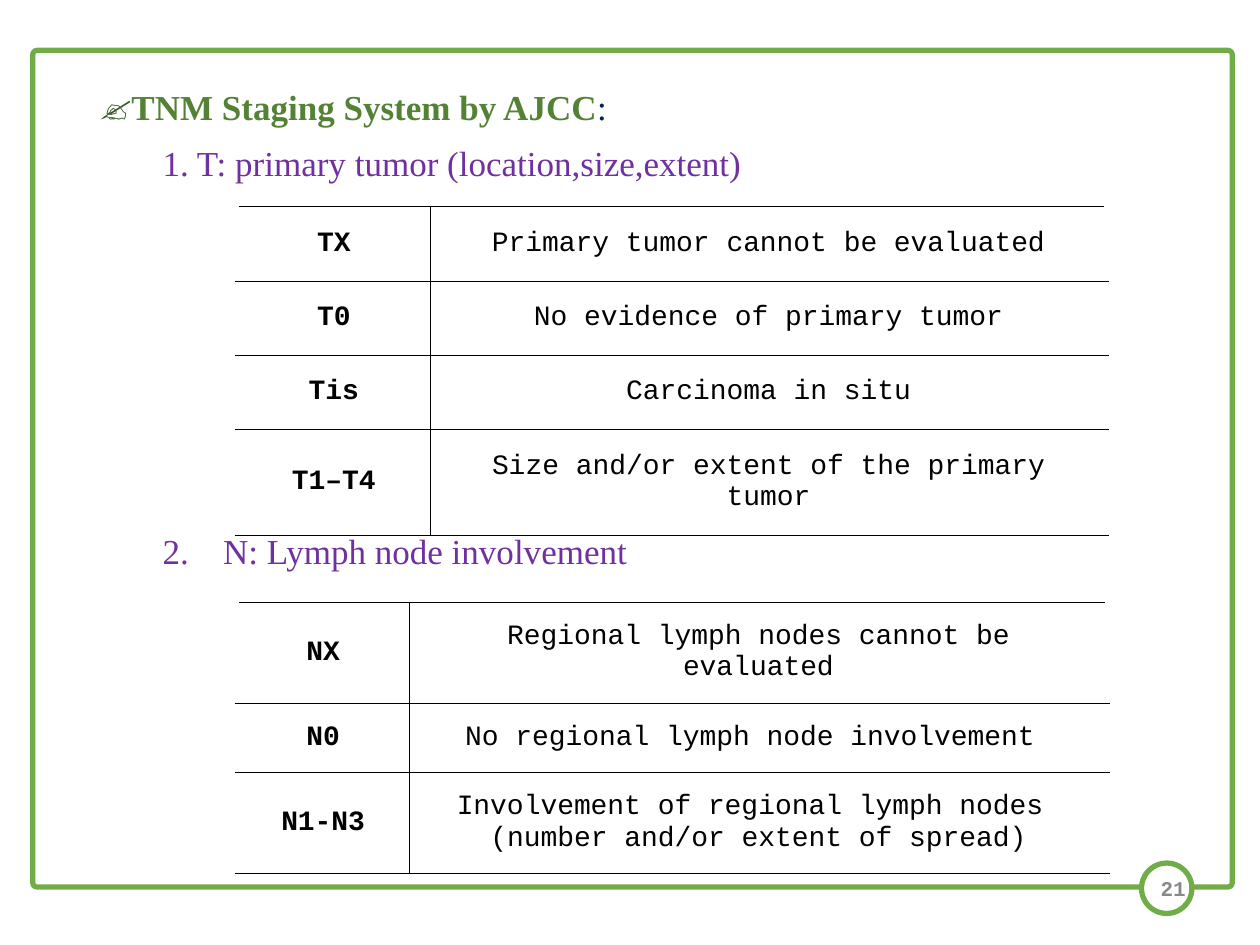
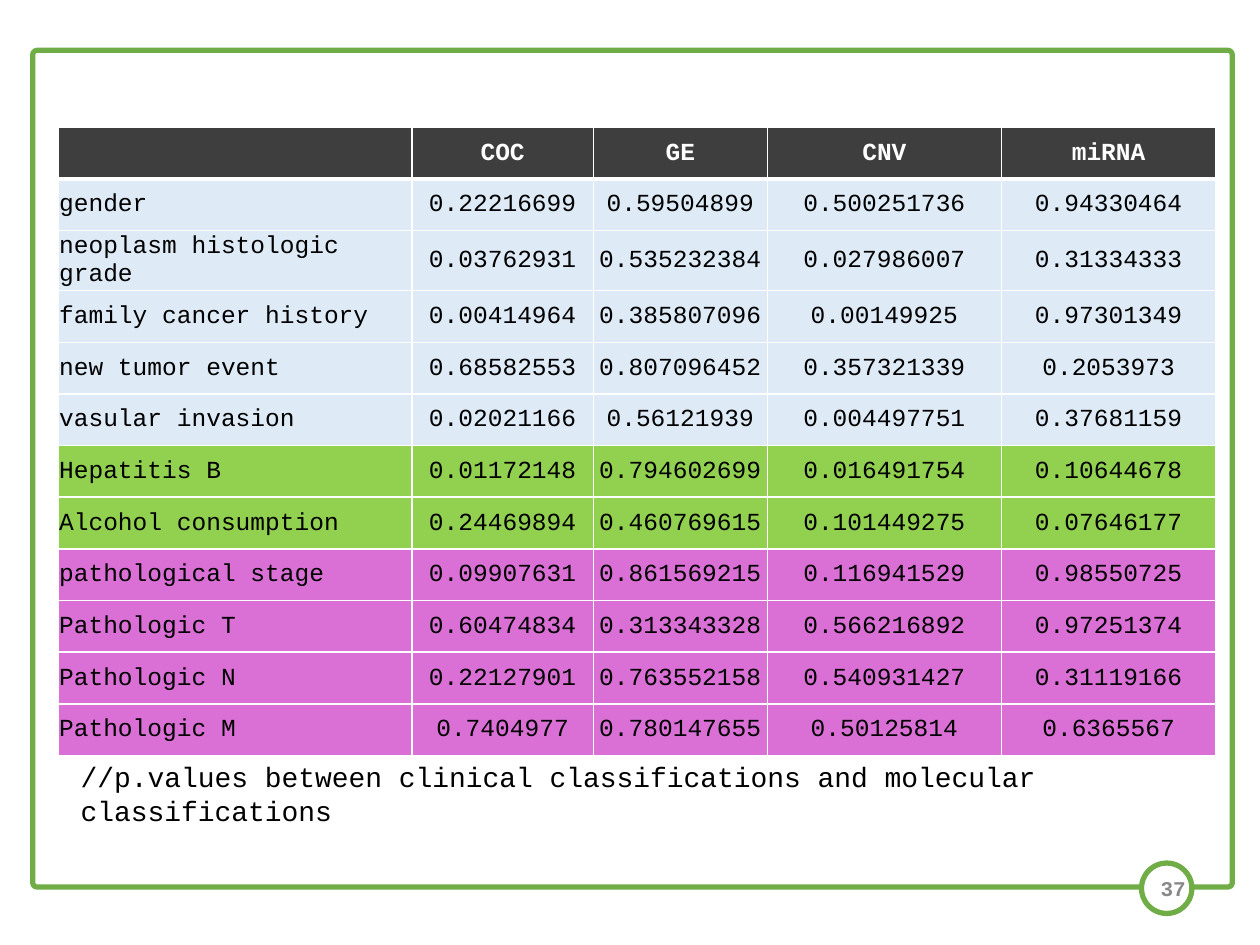
from lxml.etree import SubElement
from pptx import Presentation
from pptx.dml.color import RGBColor
from pptx.enum.shapes import MSO_SHAPE
from pptx.enum.text import MSO_ANCHOR, MSO_AUTO_SIZE, PP_ALIGN
from pptx.oxml.ns import qn
from pptx.util import Inches, Pt

GREEN = RGBColor(0x70, 0xAD, 0x47)
HEADING_GREEN = RGBColor(0x54, 0x82, 0x35)
BULLET_GREEN = RGBColor(0x38, 0x57, 0x24)
NAVY = RGBColor(0x00, 0x20, 0x60)
PURPLE = RGBColor(0x70, 0x30, 0xA0)
GREY = RGBColor(0x88, 0x88, 0x88)
BLACK = RGBColor(0x00, 0x00, 0x00)
WHITE = RGBColor(0xFF, 0xFF, 0xFF)
HEADER_GREY = RGBColor(0x3E, 0x3E, 0x3E)
PALE_BLUE = RGBColor(0xDE, 0xEB, 0xF7)
LIME = RGBColor(0x92, 0xD0, 0x50)
ORCHID = RGBColor(0xDA, 0x70, 0xD6)

MONO = "Courier New"
SERIF = "Times New Roman"

TUMOR_ROWS = [
    ("TX", "Primary tumor cannot be evaluated"),
    ("T0", "No evidence of primary tumor"),
    ("Tis", "Carcinoma in situ"),
    ("T1–T4", "Size and/or extent of the primary tumor"),
]
NODE_ROWS = [
    ("NX", "Regional lymph nodes cannot be evaluated"),
    ("N0", "No regional lymph node involvement "),
    ("N1-N3", "Involvement of regional lymph nodes \n(number and/or extent of spread)"),
]
P_VALUE_HEADER = ("", "COC", "GE", "CNV", "miRNA")
P_VALUE_GROUPS = [
    (PALE_BLUE, [
        ("gender", "0.22216699", "0.59504899", "0.500251736", "0.94330464"),
        ("neoplasm histologic grade", "0.03762931", "0.535232384", "0.027986007", "0.31334333"),
        ("family cancer history", "0.00414964", "0.385807096", "0.00149925", "0.97301349"),
        ("new tumor event", "0.68582553", "0.807096452", "0.357321339", "0.2053973"),
        ("vasular invasion", "0.02021166", "0.56121939", "0.004497751", "0.37681159"),
    ]),
    (LIME, [
        ("Hepatitis B", "0.01172148", "0.794602699", "0.016491754", "0.10644678"),
        ("Alcohol consumption", "0.24469894", "0.460769615", "0.101449275", "0.07646177"),
    ]),
    (ORCHID, [
        ("pathological stage", "0.09907631", "0.861569215", "0.116941529", "0.98550725"),
        ("Pathologic T", "0.60474834", "0.313343328", "0.566216892", "0.97251374"),
        ("Pathologic N", "0.22127901", "0.763552158", "0.540931427", "0.31119166"),
        ("Pathologic M", "0.7404977", "0.780147655", "0.50125814", "0.6365567"),
    ]),
]


def add_text(paragraph, text, font=MONO, size=16, color=BLACK, bold=False):
    run = paragraph.add_run()
    run.text = text
    run.font.name = font
    run.font.size = Pt(size)
    run.font.bold = bold
    run.font.color.rgb = color


def set_margins(target, left, top, right, bottom):
    target.margin_left, target.margin_top = Inches(left), Inches(top)
    target.margin_right, target.margin_bottom = Inches(right), Inches(bottom)


def add_text_box(slide, box, text, align=PP_ALIGN.LEFT, anchor=MSO_ANCHOR.TOP, **text_format):
    shape = slide.shapes.add_textbox(*map(Inches, box))
    frame = shape.text_frame
    frame.word_wrap = True
    frame.vertical_anchor = anchor
    set_margins(frame, 0.05, 0.05, 0.05, 0.05)
    frame.paragraphs[0].alignment = align
    add_text(frame.paragraphs[0], text, **text_format)


def add_outlined_shape(slide, kind, box):
    shape = slide.shapes.add_shape(kind, *map(Inches, box))
    shape.shadow.inherit = False
    shape.line.color.rgb = GREEN
    shape.line.width = Pt(3)
    return shape


def add_frame(slide, box, number):
    left, top, width, height = box
    border = add_outlined_shape(slide, MSO_SHAPE.ROUNDED_RECTANGLE, box)
    border.adjustments[0] = 0.005
    border.fill.background()
    right, bottom = left + width, top + height
    badge = add_outlined_shape(slide, MSO_SHAPE.OVAL, (right - 0.72, bottom - 0.19, 0.4, 0.4))
    badge.fill.solid()
    badge.fill.fore_color.rgb = WHITE
    add_text_box(slide, (right - 0.74, bottom - 0.14, 0.42, 0.3), number, PP_ALIGN.RIGHT,
                 MSO_ANCHOR.MIDDLE, size=12, color=GREY, bold=True)


def set_borders(cell, left, right, top, bottom):
    properties = cell._tc.get_or_add_tcPr()
    sides = zip(("lnL", "lnR", "lnT", "lnB"), (left, right, top, bottom))
    for tag, (color, width) in sides:
        line = SubElement(properties, qn(f"a:{tag}"), w=str(Pt(width)))
        fill = SubElement(line, qn("a:solidFill"))
        SubElement(fill, qn("a:srgbClr"), val=str(color))


def add_plain_table(slide, left, top, column_widths, row_heights):
    shape = slide.shapes.add_table(
        len(row_heights), len(column_widths), Inches(left), Inches(top),
        Inches(sum(column_widths)), Inches(sum(row_heights)))
    table = shape.table
    table.first_row = table.horz_banding = False
    for column, width in zip(table.columns, column_widths):
        column.width = Inches(width)
    for row, height in zip(table.rows, row_heights):
        row.height = Inches(height)
    return table


def fill_cell(cell, text, fill, borders, margins, align=PP_ALIGN.CENTER,
              line_spacing=None, space_after=None, **text_format):
    set_borders(cell, *borders)
    cell.fill.solid()
    cell.fill.fore_color.rgb = fill
    cell.vertical_anchor = MSO_ANCHOR.MIDDLE
    set_margins(cell, *margins)
    frame = cell.text_frame
    for index, line in enumerate(text.split("\n")):
        paragraph = frame.add_paragraph() if index else frame.paragraphs[0]
        paragraph.alignment = align
        paragraph.line_spacing = line_spacing
        paragraph.space_after = space_after
        if line:
            add_text(paragraph, line, **text_format)


def add_stage_table(slide, left, top, column_widths, row_heights, rows, margin, space_after):
    table = add_plain_table(slide, left, top, column_widths, row_heights)
    rule, edge = (BLACK, 0.5), (WHITE, 3)
    borders = [(edge, rule, rule, rule), (rule, edge, rule, rule)]
    for row_index, row in enumerate(rows):
        for column_index, text in enumerate(row):
            is_code = column_index == 0
            fill_cell(table.cell(row_index, column_index), text, WHITE, borders[column_index],
                      [margin] * 4, line_spacing=Pt(18),
                      space_after=Pt(18) if is_code else space_after, bold=is_code)


def add_p_value_table(slide, left, top, column_widths, row_height):
    rows = [(HEADER_GREY, P_VALUE_HEADER)]
    rows += [(fill, row) for fill, group in P_VALUE_GROUPS for row in group]
    table = add_plain_table(slide, left, top, column_widths, [row_height] * len(rows))
    thin, thick = (WHITE, 1), (WHITE, 3)
    for row_index, (fill, row) in enumerate(rows):
        is_header = row_index == 0
        for column_index, text in enumerate(row):
            align = PP_ALIGN.CENTER if is_header or column_index else PP_ALIGN.LEFT
            fill_cell(table.cell(row_index, column_index), text, fill,
                      (thin, thin, thick if row_index == 1 else thin, thick if is_header else thin),
                      (0.01, 0.01, 0.01, 0), align,
                      size=14, color=WHITE if is_header else BLACK, bold=is_header)


def format_list_item(paragraph, margin, indent, bullet=None, level=0, space_before=0):
    paragraph.level = level
    paragraph.line_spacing = 0.9
    paragraph.space_before = Pt(space_before)
    properties = paragraph._p.get_or_add_pPr()
    properties.set("marL", str(Inches(margin)))
    properties.set("indent", str(Inches(indent)))
    if bullet:
        color = SubElement(properties, qn("a:buClr"))
        SubElement(color, qn("a:srgbClr"), val=str(BULLET_GREEN))
        SubElement(properties, qn("a:buFont"), typeface=SERIF)
        SubElement(properties, qn("a:buChar"), char=bullet)
    else:
        SubElement(properties, qn("a:buNone"))


def add_staging_list(body, box):
    body.left, body.top, body.width, body.height = map(Inches, box)
    frame = body.text_frame
    frame.auto_size = MSO_AUTO_SIZE.NONE
    frame.vertical_anchor = MSO_ANCHOR.TOP
    heading = frame.paragraphs[0]
    format_list_item(heading, 0.25, -0.25, bullet="✍")
    add_text(heading, "TNM Staging System by AJCC", font=SERIF, size=20,
             color=HEADING_GREEN, bold=True)
    add_text(heading, ":", font=SERIF, size=20, color=NAVY)
    items = [
        ("1. T: primary tumor (location,size,extent)", 0.5, 0, 10),
        ("2.\tN: Lymph node involvement", 0.98, -0.48, 200),
    ]
    for text, margin, indent, space_before in items:
        paragraph = frame.add_paragraph()
        format_list_item(paragraph, margin, indent, level=1, space_before=space_before)
        add_text(paragraph, text, font=SERIF, size=20, color=PURPLE)


def build_staging_slide(presentation, frame_box):
    slide = presentation.slides.add_slide(presentation.slide_layouts[1])
    title = slide.shapes.title._element
    title.getparent().remove(title)
    add_frame(slide, frame_box, "21")
    left, top = frame_box[:2]
    add_staging_list(slide.placeholders[1], (left + 0.43, top + 0.27, 8.62, 6.16))
    add_stage_table(slide, left + 1.62, top + 1.24, (1.54, 5.36),
                    (0.54, 0.54, 0.54, 0.68), TUMOR_ROWS, 0.17, Pt(18))
    add_stage_table(slide, left + 1.62, top + 4.38, (1.37, 5.54),
                    (0.52, 0.52, 0.77), NODE_ROWS, 0.15, None)


def build_p_value_slide(presentation, frame_box):
    slide = presentation.slides.add_slide(presentation.slide_layouts[6])
    add_frame(slide, frame_box, "37")
    left, top = frame_box[:2]
    add_p_value_table(slide, left + 0.2, top + 0.61, (2.81, 1.44, 1.38, 1.86, 1.7), 0.41)
    add_text_box(slide, (left + 0.33, top + 5.58, 9.06, 0.62),
                 "//p.values between clinical classifications and molecular classifications")


def main():
    presentation = Presentation()
    presentation.slide_width, presentation.slide_height = Inches(10), Inches(7.5)
    frame_box = (0.26, 0.4, 9.52, 6.64)
    build_staging_slide(presentation, frame_box)
    build_p_value_slide(presentation, frame_box)
    presentation.save("out.pptx")


if __name__ == "__main__":
    main()
